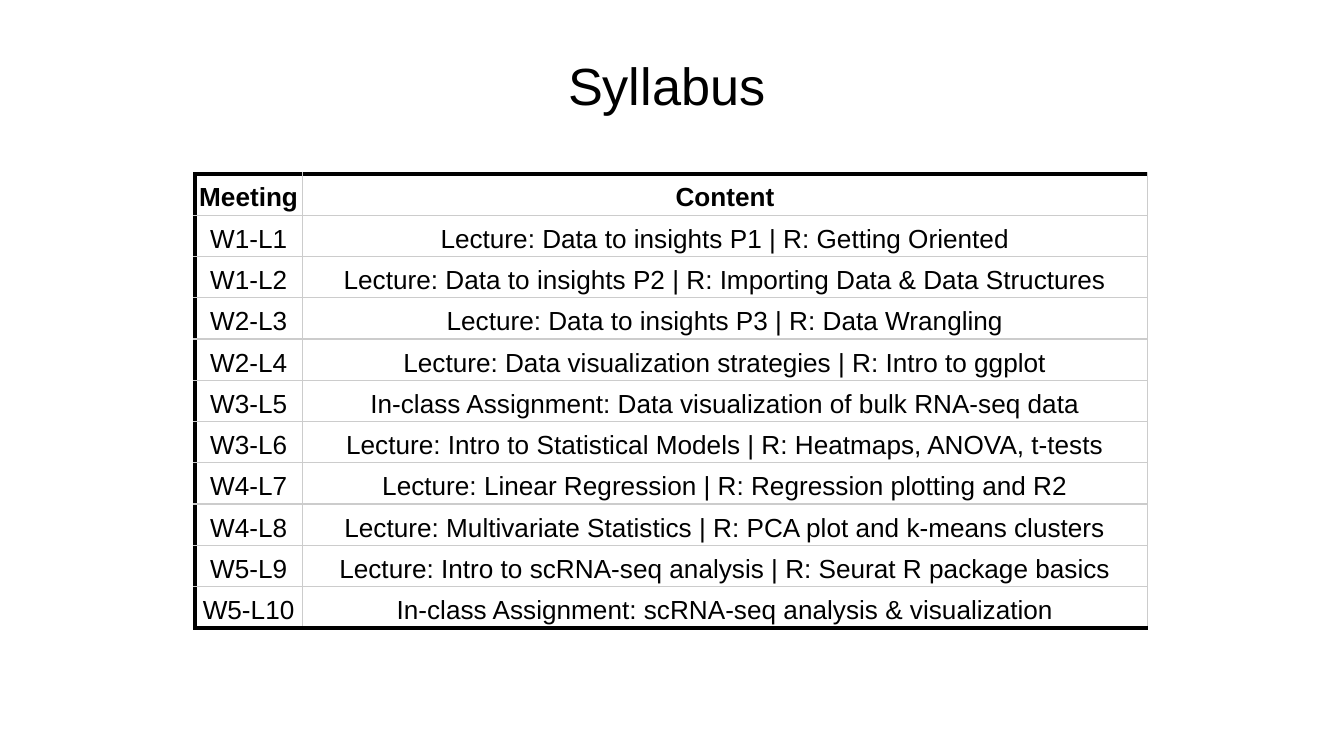
import pptx
import pptx.dml.color
import pptx.enum.text
import pptx.util
import lxml.etree

W = pptx.util.Inches(10)
H = W * 9 // 16
BLACK, GREY = "000000", "CCCCCC"
CENTER = pptx.enum.text.PP_ALIGN.CENTER
A = "{http://schemas.openxmlformats.org/drawingml/2006/main}"

rows = [
    ("Meeting", "Content"),
    ("W1-L1", "Lecture: Data to insights P1 | R: Getting Oriented"),
    ("W1-L2", "Lecture: Data to insights P2 | R: Importing Data & Data Structures"),
    ("W2-L3", "Lecture: Data to insights P3 | R: Data Wrangling"),
    ("W2-L4", "Lecture: Data visualization strategies | R: Intro to ggplot"),
    ("W3-L5", "In-class Assignment: Data visualization of bulk RNA-seq data"),
    ("W3-L6", "Lecture: Intro to Statistical Models | R: Heatmaps, ANOVA, t-tests"),
    ("W4-L7", "Lecture: Linear Regression | R: Regression plotting and R2"),
    ("W4-L8", "Lecture: Multivariate Statistics | R: PCA plot and k-means clusters"),
    ("W5-L9", "Lecture: Intro to scRNA-seq analysis | R: Seurat R package basics"),
    ("W5-L10", "In-class Assignment: scRNA-seq analysis & visualization"),
]


def write(tf, text, size, bold=False, spacing=1.0):
    p = tf.paragraphs[0]
    p.alignment, p.line_spacing = CENTER, spacing
    r = p.add_run()
    r.text = text
    for name, value in {"name": "Arial", "size": pptx.util.Pt(size), "bold": bold}.items():
        setattr(r.font, name, value)
    r.font.color.rgb = pptx.dml.color.RGBColor.from_string(BLACK)


def border(cell, side, heavy):
    width, color = (2.25, BLACK) if heavy else (0.75, GREY)
    ln = lxml.etree.SubElement(cell._tc.get_or_add_tcPr(), A + "ln" + side,
                               w=str(int(pptx.util.Pt(width))))
    fill = lxml.etree.SubElement(ln, A + "solidFill")
    lxml.etree.SubElement(fill, A + "srgbClr", val=color)


prs = pptx.Presentation()
prs.slide_width, prs.slide_height = W, H
s = prs.slides.add_slide(prs.slide_layouts[6])

# Title
sp = s.shapes.add_textbox(int(W * 0.03), int(W * 0.03),
                          pptx.util.Inches(9.32), pptx.util.Inches(0.63))
tf = sp.text_frame
for name, value in {"word_wrap": True, "margin_top": pptx.util.Inches(0.1),
                    "margin_bottom": pptx.util.Inches(0.1)}.items():
    setattr(tf, name, value)
write(tf, "Syllabus", 28)

# Syllabus table: a narrow and a wide column, equal rows
col_widths = [pptx.util.Inches(0.8), pptx.util.Inches(6.29)]
row_height = pptx.util.Inches(0.3)
table = s.shapes.add_table(len(rows), 2, int(W * 0.145), int(H * 0.23),
                           sum(col_widths), row_height * len(rows)).table
table.first_row = table.horz_banding = False
for col, width in zip(table.columns, col_widths):
    col.width = width

cell_format = {"margin_" + side: pptx.util.Pt(1.4)
               for side in ("left", "right", "top", "bottom")}
cell_format["vertical_anchor"] = pptx.enum.text.MSO_ANCHOR.BOTTOM
last = len(rows) - 1
for i, row in enumerate(rows):
    table.rows[i].height = row_height
    for j, text in enumerate(row):
        cell = table.cell(i, j)
        for name, value in cell_format.items():
            setattr(cell, name, value)
        write(cell.text_frame, text, 14, bold=i == 0, spacing=1.15)
        # Heavy rule on the left, top and bottom edges of the table
        for side, heavy in {"L": j == 0, "R": False, "T": i == 0, "B": i == last}.items():
            border(cell, side, heavy)
        cell.fill.background()

prs.save("out.pptx")
